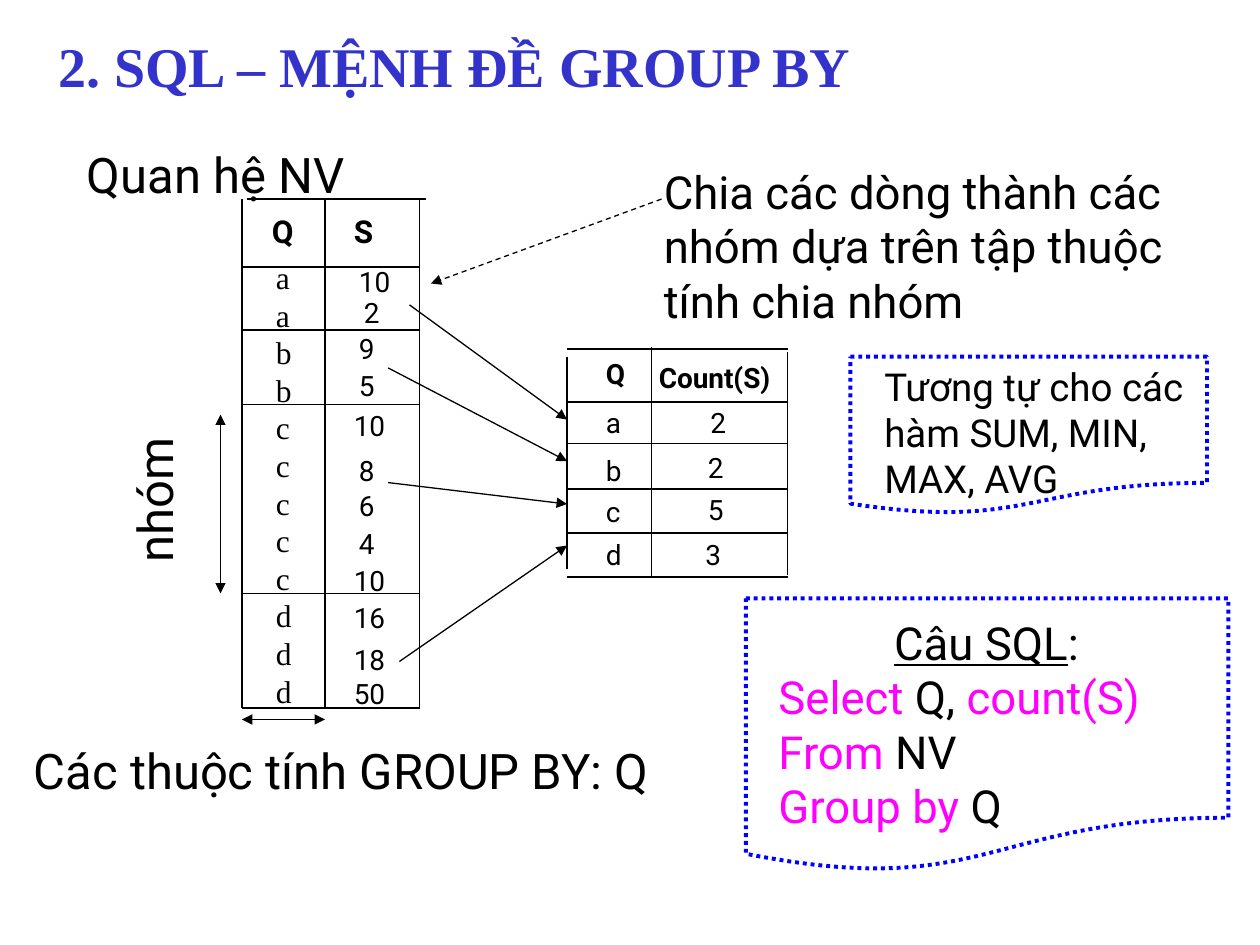
from lxml import etree
from pptx import Presentation
from pptx.dml.color import RGBColor
from pptx.enum.dml import MSO_LINE
from pptx.enum.shapes import MSO_CONNECTOR, MSO_SHAPE
from pptx.enum.text import MSO_ANCHOR, PP_ALIGN
from pptx.oxml.ns import qn
from pptx.util import Pt

PX = 9144  # 100 px to the inch
COLORS = {"title": "3333CC", "ink": "000000", "keyword": "FF00FF", "frame": "0000FF"}
SANS, SERIF = "Roboto", "Times New Roman"


def px(*lengths):
    return [length * PX for length in lengths]


def style(span, size, color="ink", font=SANS, bold=False, underline=False):
    span.font.name = font
    span.font.size = Pt(size)
    span.font.color.rgb = RGBColor.from_string(COLORS[color])
    span.font.bold = bold
    span.font.underline = underline


def add_text(page, box, text, size, wrap=True, **look):
    label = page.shapes.add_textbox(*px(*box))
    frame = label.text_frame
    frame.word_wrap = wrap
    frame.text = text
    for para in frame.paragraphs:
        for span in para.runs:
            style(span, size, **look)
    return label


def add_line(page, start, end, head=False, tail=False, dashed=False):
    line = page.shapes.add_connector(MSO_CONNECTOR.STRAIGHT, *px(*start, *end))
    line.line.color.rgb = RGBColor.from_string(COLORS["ink"])
    line.line.width = Pt(0.75)
    if dashed:
        line.line.dash_style = MSO_LINE.DASH
    outline = line.line._get_or_add_ln()
    for wanted, tag in ((head, "a:headEnd"), (tail, "a:tailEnd")):
        if wanted:
            etree.SubElement(outline, qn(tag), type="triangle")
    etree.SubElement(line._element.spPr, qn("a:effectLst"))


def add_frame(page, box):
    frame = page.shapes.add_shape(MSO_SHAPE.FLOWCHART_DOCUMENT, *px(*box))
    frame.shadow.inherit = False
    frame.fill.background()
    frame.line.color.rgb = RGBColor.from_string(COLORS["frame"])
    frame.line.width = Pt(2.25)
    frame.line.dash_style = MSO_LINE.ROUND_DOT


def add_title(page, box):
    title = page.shapes.title
    title.left, title.top, title.width, title.height = px(*box)
    frame = title.text_frame
    frame.text = " 2. SQL – MỆNH ĐỀ GROUP BY"
    frame.vertical_anchor = MSO_ANCHOR.MIDDLE
    para = frame.paragraphs[0]
    para.alignment = PP_ALIGN.LEFT
    style(para.runs[0], 32, "title", SERIF, bold=True)


def add_relation(page, left, top, width, height):
    """Source table: rows grouped by the value of Q."""
    for x in (0, 66, width):
        add_line(page, (left + x, top), (left + x, top + height))
    add_line(page, (left + 4, top), (left + width + 5, top))
    for y in (54, 104, 163, 313, height):
        add_line(page, (left, top + y), (left + width, top + y))

    for x, name in ((14, "Q"), (79, "S")):
        add_text(page, (left + x, top + 5, 46, 40), name, 18, bold=True)
    groups = "\n".join("aabbcccccddd")
    column = add_text(page, (left + 17, top + 42, 32, 370), groups, 18,
                      wrap=False, font=SERIF)
    for para in column.text_frame.paragraphs:
        para.line_spacing = Pt(21.5)

    values = [(83, 47, "10"), (87, 72, "2"), (83, 100, "9"), (83, 130, "5"),
              (79, 161, "10"), (83, 197, "8"), (83, 225, "6"), (83, 255, "4"),
              (79, 284, "10"), (79, 314, "16"), (79, 347, "18"), (79, 374, "50")]
    for x, y, value in values:
        add_text(page, (left + x, top + y, 46, 37), value, 16)

    # Extent of one group and of the grouping column
    add_line(page, (left - 17, top + 171), (left - 17, top + 313), head=True, tail=True)
    add_line(page, (left, top + 413), (left + 66, top + 413), head=True, tail=True)


def add_result(page, left, top, width, height):
    """Result table: one row for each group."""
    for x, start, end in ((0, 6, 175), (67, -2, height), (width, 2, 179)):
        add_line(page, (left + x, top + start), (left + x, top + end))
    for y in (0, 42, 75, 111, 146, height):
        add_line(page, (left, top + y), (left + width, top + y))

    add_text(page, (left + 21, top + 1, 46, 37), "Q", 16, bold=True)
    add_text(page, (left + 63, top + 4, 121, 37), "Count(S)", 16, bold=True)
    rows = [("a", 40, "2", 104, 40), ("b", 78, "2", 102, 76),
            ("c", 111, "5", 102, 109), ("d", 145, "3", 100, 145)]
    for group, group_y, count, count_x, count_y in rows:
        add_text(page, (left + 21, top + group_y, 46, 37), group, 16)
        add_text(page, (left + count_x, top + count_y, 46, 37), count, 16)


def add_query(page, left, top, width, height):
    add_frame(page, (left, top, width, height))
    label = page.shapes.add_textbox(*px(left + 16, top + 8, 350, 184))
    frame = label.text_frame
    frame.word_wrap = True
    paragraphs = [
        [("Câu SQL", "ink", True), (":", "ink", False)],
        [("Select", "keyword", False), (" Q, ", "ink", False),
         ("count(S) From", "keyword", False), (" NV", "ink", False)],
        [("Group by", "keyword", False), (" Q", "ink", False)],
    ]
    for index, pieces in enumerate(paragraphs):
        para = frame.add_paragraph() if index else frame.paragraphs[0]
        for text, color, underline in pieces:
            span = para.add_run()
            span.text = text
            style(span, 26, color, underline=underline)
    frame.paragraphs[0].alignment = PP_ALIGN.CENTER


def add_hint(page, left, top, width, height):
    add_frame(page, (left, top, width, height))
    add_text(page, (left + 17, top, 275, 120),
             "Tương tự cho các hàm SUM, MIN, MAX, AVG", 22)


def add_captions(page):
    add_text(page, (59, 110, 239, 57), "Quan hệ NV", 28, wrap=False)
    add_text(page, (17, 583, 558, 57), "Các thuộc tính GROUP BY: Q", 28)
    add_text(page, (517, 125, 450, 140),
             "Chia các dòng thành các nhóm dựa trên tập thuộc tính chia nhóm", 26)
    add_text(page, (58, 364, 128, 57), "nhóm", 28, wrap=False).rotation = 270


def add_arrows(page):
    # Each group leads to its row in the result
    for start, end in (((325, 242), (450, 333)), ((308, 292), (450, 366)),
                       ((308, 383), (450, 400)), ((317, 525), (450, 433))):
        add_line(page, start, end, tail=True)
    add_line(page, (525, 158), (342, 225), tail=True, dashed=True)


def main():
    deck = Presentation()
    deck.slide_width, deck.slide_height = px(1000, 750)
    page = deck.slides.add_slide(deck.slide_layouts[5])
    add_title(page, (25, 2, 950, 100))
    add_relation(page, 192, 158, 141, 404)
    add_result(page, 450, 277, 175, 181)
    add_arrows(page)
    add_captions(page)
    add_query(page, 592, 475, 383, 217)
    add_hint(page, 675, 283, 283, 125)
    deck.save("out.pptx")


if __name__ == "__main__":
    main()
